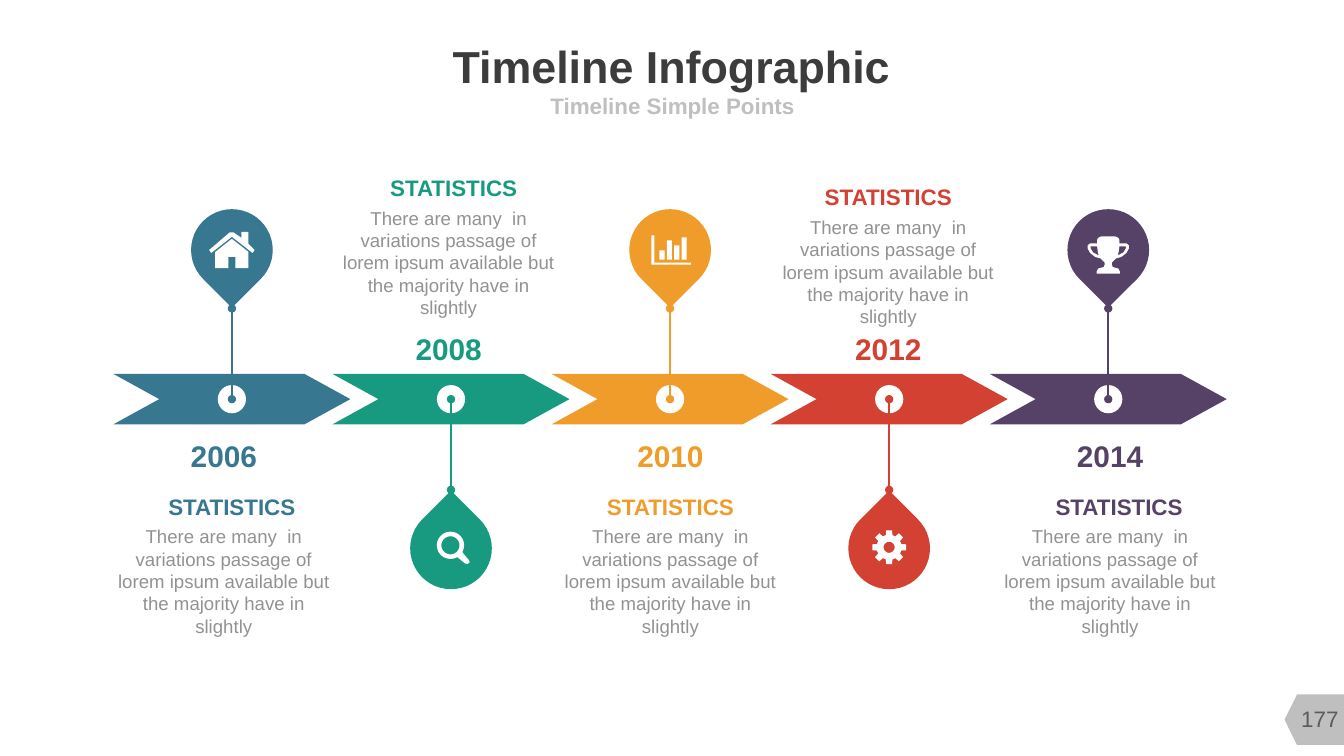
from math import cos, radians, sin

from lxml import etree
from pptx import Presentation
from pptx.dml.color import RGBColor
from pptx.enum.shapes import MSO_CONNECTOR, MSO_SHAPE
from pptx.enum.text import MSO_ANCHOR, PP_ALIGN
from pptx.oxml.ns import qn
from pptx.util import Inches, Pt

STRAIGHT = MSO_CONNECTOR.STRAIGHT
ARROW, OVAL, TEAR = MSO_SHAPE.NOTCHED_RIGHT_ARROW, MSO_SHAPE.OVAL, MSO_SHAPE.TEAR
PAGE_TAG = MSO_SHAPE.FLOWCHART_OFFPAGE_CONNECTOR
TOP, MIDDLE = MSO_ANCHOR.TOP, MSO_ANCHOR.MIDDLE
CENTER = PP_ALIGN.CENTER

BLUE = RGBColor(0x37, 0x77, 0x90)
GREEN = RGBColor(0x18, 0x9A, 0x80)
ORANGE = RGBColor(0xF0, 0x9C, 0x2A)
RED = RGBColor(0xD2, 0x41, 0x32)
PURPLE = RGBColor(0x56, 0x42, 0x66)
WHITE = RGBColor(0xFF, 0xFF, 0xFF)
DARK = RGBColor(0x3C, 0x3C, 0x3C)
SILVER = RGBColor(0xBF, 0xBF, 0xBF)
GRAY = RGBColor(0x92, 0x92, 0x92)
PAGE_GRAY = RGBColor(0x5C, 0x5C, 0x5C)

TITLE = "Timeline Infographic"
SUBTITLE = "Timeline Simple Points"
PAGE = "177"
HEADING = "STATISTICS"
BODY = ("There are many  in variations passage of lorem ipsum "
        "available but the majority have in slightly")


def arc(cx, cy, radius, start=0, end=360, step=10):
    return [(cx + radius * cos(radians(a)), cy + radius * sin(radians(a)))
            for a in range(start, end + 1, step)]


def box(left, top, right, bottom):
    return [(left, top), (right, top), (right, bottom), (left, bottom)]


def mirror(points):
    return [(-x, y) for x, y in reversed(points)]


HOUSE = [
    [(20.5, 3), (0, -13), (-20.5, 3), (-22.5, 0), (-2, -17.5), (1.5, -17.5),
     (9.5, -12), (9.5, -18), (16.5, -18), (16.5, -6), (22.5, 0)],
    [(16.5, 18), (3.5, 18), (3.5, 7), (-3.5, 7), (-3.5, 18), (-16.5, 18),
     (-16.5, 2), (0, -11), (16.5, 2)],
]
MAGNIFIER = [
    arc(-0.5, -3, 13.5, 60, 390) + [(18, 12), (18.5, 14), (16.5, 15.5), (14, 15)],
    arc(-0.5, -3, 9),
]
BAR_TOPS = [0.5, -9.5, -4.5, -12.5]
BARS = [[(20.5, 14.5), (-18.5, 14.5), (-18.5, -14.5), (-15.5, -14.5),
         (-15.5, 12.5), (20.5, 12.5)]]
BARS += [box(-10.5 + 7.3 * i, top, -5.5 + 7.3 * i, 9.5) for i, top in enumerate(BAR_TOPS)]
GEAR = [
    [(r * cos(radians(45 * i + a)), r * sin(radians(45 * i + a)) - 1)
     for i in range(8) for a, r in ((-15, 12.5), (-10, 17), (10, 17), (15, 12.5))],
    arc(0, -1, 5.5),
]
CUP = [(7, -13.5), (10, -12), (11, -10), (11, -6.5), (18, -6.5), (20.5, -4.5),
       (20.5, -1.5), (18, 3), (13, 7), (7.5, 8.5), (5.5, 10.5), (3.5, 12.5),
       (3.5, 14.5), (4.5, 17), (6.5, 17.5), (10, 18.5), (11.5, 21.5), (11.5, 23.5)]
HANDLE = [(11, -3.5), (17.5, -3.5), (17.5, -1.5), (15, 2.5), (9.5, 5.5), (10.5, 1)]
TROPHY = [CUP + mirror(CUP), HANDLE, mirror(HANDLE)]

STEPS = [
    ("2006", BLUE, HOUSE, 2.22, 2.3, 4.89),
    ("2008", GREEN, MAGNIFIER, 4.45, 4.5, 1.73),
    ("2010", ORANGE, BARS, 6.65, 6.65, 4.89),
    ("2012", RED, GEAR, 8.81, 8.81, 1.82),
    ("2014", PURPLE, TROPHY, 11.01, 11.1, 4.89),
]
FIRST_X, PITCH, AXIS_Y = 2.3, 2.173, 3.96
ARROW_W, ARROW_H, DOT, DROP = 2.35, 0.5, 0.28, 0.81
STEM, DROP_GAP = 0.9, 1.48

prs = Presentation()
prs.slide_width, prs.slide_height = Inches(13.33), Inches(7.5)
s = prs.slides.add_slide(prs.slide_layouts[6])


def add_text(text, cx, top, w, h, size, color, bold=False, wrap=False, anchor=TOP):
    tf = s.shapes.add_textbox(Inches(cx - w / 2), Inches(top), Inches(w), Inches(h)).text_frame
    tf.margin_left = tf.margin_right = tf.margin_top = tf.margin_bottom = 0
    tf.word_wrap, tf.vertical_anchor = wrap, anchor
    p = tf.paragraphs[0]
    p.alignment = CENTER
    r = p.add_run()
    r.text = text
    r.font.name, r.font.size, r.font.bold = "Arial", Pt(size), bold
    r.font.color.rgb = color


def paint(sp, color):
    sp.shadow.inherit = False
    sp.fill.solid()
    sp.fill.fore_color.rgb = color
    sp.line.fill.background()


def add_shape(kind, cx, cy, w, h, color, rotation=0):
    sp = s.shapes.add_shape(kind, Inches(cx - w / 2), Inches(cy - h / 2), Inches(w), Inches(h))
    sp.rotation = rotation
    paint(sp, color)
    return sp


def add_icon(contours, cx, cy):
    paths = [[(Inches(cx + x / 100), Inches(cy + y / 100)) for x, y in c] for c in contours]
    fb = s.shapes.build_freeform(*paths[0][0], scale=1.0)
    fb.add_line_segments(paths[0][1:], close=True)
    for points in paths[1:]:
        fb.move_to(*points[0])
        fb.add_line_segments(points[1:], close=True)
    paint(fb.convert_to_shape(), WHITE)


def add_stem(x, y1, y2, color):
    c = s.shapes.add_connector(STRAIGHT, Inches(x), Inches(y1), Inches(x), Inches(y2))
    c.line.color.rgb, c.line.width = color, Pt(1.5)
    ln = c.line._get_or_add_ln()
    for end in ("a:headEnd", "a:tailEnd"):
        etree.SubElement(ln, qn(end), type="oval")
    etree.SubElement(c._element.spPr, qn("a:effectLst"))


add_shape(PAGE_TAG, 13.05, 7.14, 0.5, 0.62, SILVER, rotation=90)
add_text(PAGE, 13.09, 6.93, 0.67, 0.4, 16, PAGE_GRAY, anchor=MIDDLE)
add_text(TITLE, 6.66, 0.39, 8.22, 0.52, 32, DARK, bold=True, anchor=MIDDLE)
add_text(SUBTITLE, 6.67, 0.9, 6, 0.29, 16, SILVER, bold=True, wrap=True, anchor=MIDDLE)

for i, (year, color, icon, text_x, heading_x, heading_y) in enumerate(STEPS):
    x = FIRST_X + PITCH * i
    side = 1 if i % 2 else -1
    drop_y = AXIS_Y + side * DROP_GAP
    arrow = add_shape(ARROW, x, AXIS_Y, ARROW_W, ARROW_H, color)
    arrow.adjustments[0], arrow.adjustments[1] = 1, 0.91
    add_shape(OVAL, x, AXIS_Y, DOT, DOT, WHITE)
    add_stem(x, AXIS_Y + side * STEM, AXIS_Y, color)
    add_shape(TEAR, x, drop_y, DROP, DROP, color, rotation=315 if side > 0 else 135)
    add_icon(icon, x, drop_y)
    add_text(year, text_x, 3.28 if side > 0 else 4.34, 0.67, 0.36, 21.3, color, bold=True)
    add_text(HEADING, heading_x, heading_y, 1.27, 0.27, 16, color, bold=True)
    add_text(BODY, text_x, heading_y + 0.32, 2.17, 1.12, 13.3, GRAY, wrap=True)

prs.save("out.pptx")
